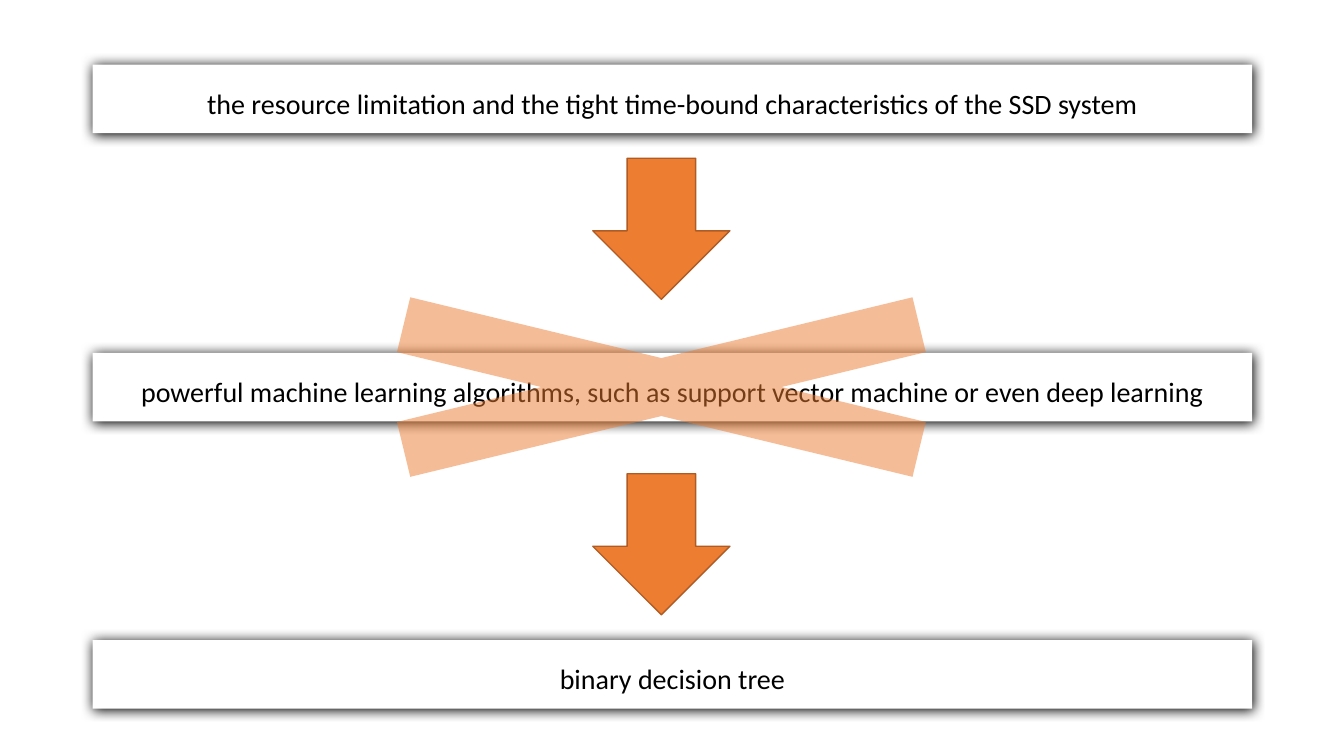
from lxml import etree
from pptx import Presentation
from pptx.dml.color import RGBColor
from pptx.enum.shapes import MSO_SHAPE
from pptx.enum.text import MSO_ANCHOR, PP_ALIGN
from pptx.oxml.ns import qn
from pptx.util import Inches, Pt

RECT = MSO_SHAPE.RECTANGLE
DOWN_ARROW = MSO_SHAPE.DOWN_ARROW
MULTIPLY = MSO_SHAPE.MATH_MULTIPLY
TOP = MSO_ANCHOR.TOP
CENTER = PP_ALIGN.CENTER

COLORS = {"box": "FFFFFF", "text": "000000", "shadow": "000000",
          "accent": "ED7D31", "outline": "AF5C24"}
FONT = "Calibri"
STATEMENTS = [
    "the resource limitation and the tight time-bound characteristics of the SSD system",
    "powerful machine learning algorithms, such as support vector machine or even deep learning",
    "binary decision tree",
]
BOX_TOPS = [0.64, 3.5, 6.35]
ARROW_TOPS = [1.57, 4.7]


def rgb(name):
    """Return the named colour."""
    return RGBColor.from_string(COLORS[name])


def add_shape(slide, kind, left, top, width, height, fill):
    """Add a filled shape without outline or shadow."""
    sp = slide.shapes.add_shape(kind, Inches(left), Inches(top), Inches(width), Inches(height))
    sp.shadow.inherit = False
    sp.fill.solid()
    sp.fill.fore_color.rgb = rgb(fill)
    sp.line.fill.background()
    return sp


def add_shadow(sp):
    """Give a shape a soft shadow just below it."""
    effects = sp._element.spPr.find(qn("a:effectLst"))
    shadow = etree.SubElement(effects, qn("a:outerShdw"), blurRad=str(Pt(8.5)),
                              dist=str(Pt(1)), dir="5400000", algn="t", rotWithShape="0")
    etree.SubElement(shadow, qn("a:srgbClr"), val=COLORS["shadow"])


def add_statement(slide, top, text):
    """Add a shadowed box with one centred line of text."""
    sp = add_shape(slide, RECT, 0.92, top, 11.5, 0.68, "box")
    add_shadow(sp)
    tf = sp.text_frame
    tf.word_wrap = True
    tf.vertical_anchor = TOP
    p = tf.paragraphs[0]
    p.alignment = CENTER
    p.line_spacing = 1.5
    p.space_before = Pt(10)
    r = p.add_run()
    r.text = text
    r.font.name = FONT
    r.font.size = Pt(20)
    r.font.color.rgb = rgb("text")


def add_arrow(slide, top):
    """Add an outlined arrow pointing down."""
    sp = add_shape(slide, DOWN_ARROW, 5.88, top, 1.36, 1.4, "accent")
    sp.line.color.rgb = rgb("outline")
    sp.line.width = Pt(1)


def add_cross(slide):
    """Add the half-transparent cross over the rejected option."""
    sp = add_shape(slide, MULTIPLY, 1.64, 2.65, 9.84, 2.38, "accent")
    color = sp._element.spPr.find(qn("a:solidFill")).find(qn("a:srgbClr"))
    etree.SubElement(color, qn("a:alpha"), val="50000")


def main():
    """Build the slide and save it."""
    prs = Presentation()
    prs.slide_width = Inches(13.33)
    prs.slide_height = Inches(7.5)
    slide = prs.slides.add_slide(prs.slide_layouts[6])
    for top, text in zip(BOX_TOPS, STATEMENTS):
        add_statement(slide, top, text)
    for top in ARROW_TOPS:
        add_arrow(slide, top)
    add_cross(slide)
    prs.save("out.pptx")


if __name__ == "__main__":
    main()
